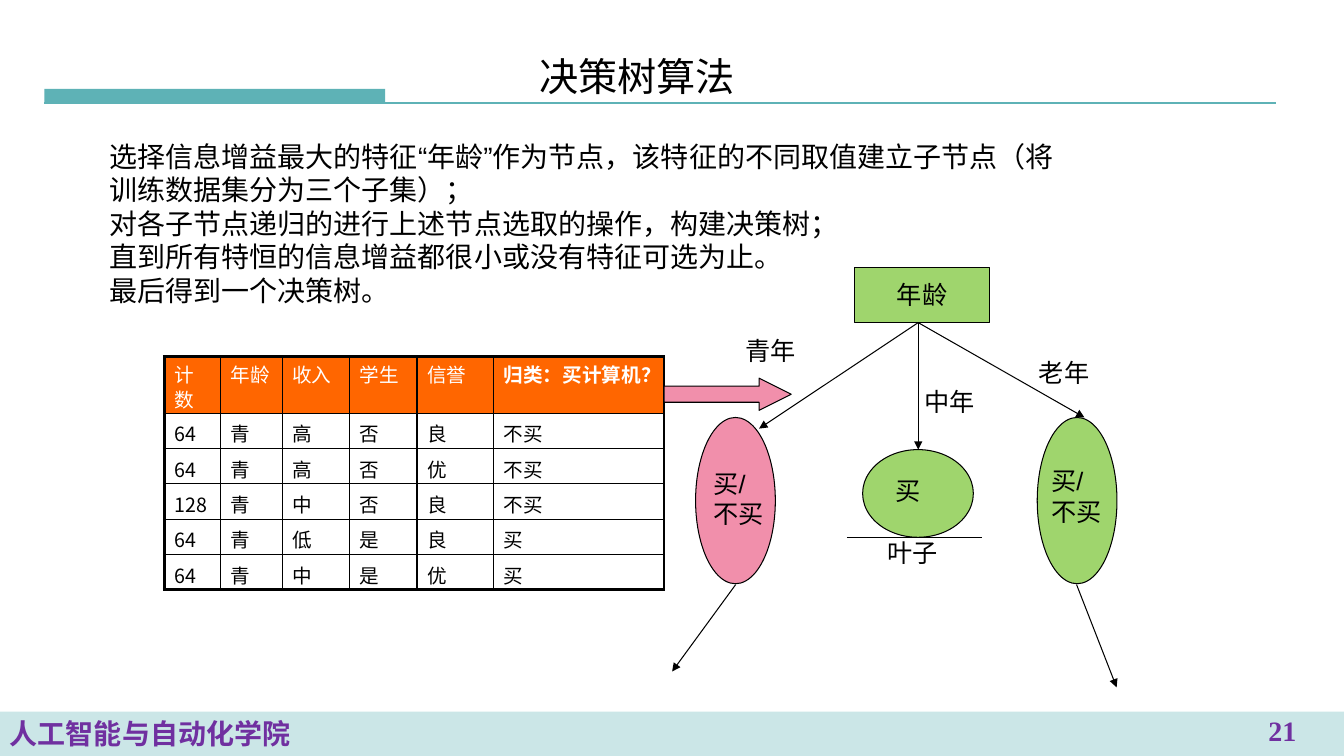
import dataclasses

import lxml.etree
import pptx
import pptx.dml.color
import pptx.enum.shapes
import pptx.enum.text
import pptx.oxml.ns
import pptx.util

Cm = pptx.util.Cm
Pt = pptx.util.Pt
qn = pptx.oxml.ns.qn
Shapes = pptx.enum.shapes.MSO_SHAPE
Align = pptx.enum.text.PP_ALIGN
Anchor = pptx.enum.text.MSO_ANCHOR


@dataclasses.dataclass(frozen=True)
class Theme:
    """Colours, fonts and type sizes of the slide."""
    teal: str = "5EB2B6"
    purple: str = "7030A0"
    orange: str = "FF6600"
    green: str = "9FD56D"
    pink: str = "F18FAB"
    black: str = "000000"
    white: str = "FFFFFF"
    font: str = "Arial"
    table_font: str = "Noto Sans CJK JP"
    number_font: str = "Times New Roman"
    title_size: int = 28
    body_size: int = 20
    label_size: int = 18
    table_size: int = 14
    thin: float = 0.75
    inner: float = 1
    rule: float = 1.5
    outer: float = 2.25


@dataclasses.dataclass(frozen=True)
class Box:
    """A rectangle in centimetres."""
    left: float
    top: float
    width: float
    height: float

    def inside(self, left, top, width, height):
        """Return a box placed relative to this one."""
        return Box(self.left + left, self.top + top, width, height)

    def lengths(self):
        """Return the four lengths that python-pptx expects."""
        return [Cm(value) for value in dataclasses.astuple(self)]


THEME = Theme()


def rgb(colour):
    """Turn a hex string into a colour."""
    return pptx.dml.color.RGBColor.from_string(colour)


def write(frame, lines, size, colour=THEME.black, font=THEME.font, bold=False, align=Align.LEFT):
    """Write one paragraph per line in a single style."""
    for index, line in enumerate(lines):
        para = frame.add_paragraph() if index else frame.paragraphs[0]
        para.text = line
        para.alignment = align
        para.font.size = Pt(size)
        para.font.bold = bold
        para.font.name = font
        para.font.color.rgb = rgb(colour)
        style = para._p.pPr.find(qn("a:defRPr"))
        lxml.etree.SubElement(style, qn("a:ea"), typeface=font)


def add_text(page, box, lines, size, wrap=False, **style):
    """Add a text box."""
    frame = page.shapes.add_textbox(*box.lengths()).text_frame
    frame.word_wrap = wrap
    write(frame, lines, size, **style)


def add_shape(page, kind, box, fill, outlined=True):
    """Add a flat filled shape."""
    shape = page.shapes.add_shape(kind, *box.lengths())
    shape.shadow.inherit = False
    shape.fill.solid()
    shape.fill.fore_color.rgb = rgb(fill)
    if outlined:
        shape.line.color.rgb = rgb(THEME.black)
        shape.line.width = Pt(THEME.thin)
    else:
        shape.line.fill.background()
    return shape


def add_line(page, box, start, end, colour=THEME.black, width=THEME.thin, arrow=False):
    """Add a straight line between two points of a box."""
    points = [Cm(value) for x, y in (start, end) for value in (box.left + x, box.top + y)]
    line = page.shapes.add_connector(pptx.enum.shapes.MSO_CONNECTOR.STRAIGHT, *points)
    line.line.color.rgb = rgb(colour)
    line.line.width = Pt(width)
    properties = line._element.spPr
    if arrow:
        lxml.etree.SubElement(properties.find(qn("a:ln")), qn("a:tailEnd"), type="triangle")
    lxml.etree.SubElement(properties, qn("a:effectLst"))


def add_header(page, box):
    """Draw the title with its bar and rule."""
    add_shape(page, Shapes.RECTANGLE, box.inside(0, 1.05, 8.59, 0.35), THEME.teal, outlined=False)
    add_line(page, box, (0, 1.4), (box.width, 1.4), THEME.teal, THEME.rule)
    add_text(page, box.inside(12.22, 0, 5.46, 1.45), ["决策树算法"], THEME.title_size)


def add_footer(page, box):
    """Draw the footer band with the school and page number."""
    band = add_shape(page, Shapes.RECTANGLE, box, THEME.teal, outlined=False)
    fill = band._element.spPr.find(qn("a:solidFill"))
    lxml.etree.SubElement(fill[0], qn("a:alpha"), val="32000")
    band.text_frame.vertical_anchor = Anchor.MIDDLE
    write(band.text_frame, ["人工智能与自动化学院"], THEME.body_size, THEME.purple, bold=True)
    add_text(page, box.inside(box.width - 3.1, -0.07, 3.1, 1), ["21"], THEME.body_size,
             wrap=True, colour=THEME.purple, font=THEME.number_font, bold=True,
             align=Align.CENTER)


def add_border(cell, position, side, width):
    """Draw one border of a table cell."""
    edge = lxml.etree.Element(qn("a:ln" + side), w=str(Pt(width)))
    fill = lxml.etree.SubElement(edge, qn("a:solidFill"))
    lxml.etree.SubElement(fill, qn("a:srgbClr"), val=THEME.black)
    cell._tc.get_or_add_tcPr().insert(position, edge)


def add_samples(page, box):
    """Draw the table of training samples."""
    rows = [("计数", "年龄", "收入", "学生", "信誉", "归类：买计算机？"),
            ("64", "青", "高", "否", "良", "不买"),
            ("64", "青", "高", "否", "优", "不买"),
            ("128", "青", "中", "否", "良", "不买"),
            ("64", "青", "低", "是", "良", "买"),
            ("64", "青", "中", "是", "优", "买")]
    widths = (1.42, 1.55, 1.7, 1.7, 1.93, 4.29)
    last_row, last_column = len(rows) - 1, len(widths) - 1
    table = page.shapes.add_table(len(rows), len(widths), *box.lengths()).table
    for column, width in zip(table.columns, widths):
        column.width = Cm(width)
    for r, values in enumerate(rows):
        table.rows[r].height = Cm(0.89 if r else 1.42)
        for c, value in enumerate(values):
            cell = table.cell(r, c)
            cell.margin_top, cell.margin_bottom = Cm(0.15), 0
            if c == last_column:
                cell.margin_right = 0
            write(cell.text_frame, [value], THEME.table_size,
                  THEME.black if r else THEME.white, THEME.table_font,
                  bold=r == 0 and c == last_column)
            if r:
                cell.fill.background()
            else:
                cell.fill.solid()
                cell.fill.fore_color.rgb = rgb(THEME.orange)
                cell.text_frame.paragraphs[0].line_spacing = Pt(18)
            outer = {"L": c == 0, "R": c == last_column, "T": r == 0, "B": r == last_row}
            for position, (side, is_outer) in enumerate(outer.items()):
                add_border(cell, position, side, THEME.outer if is_outer else THEME.inner)


def add_tree(page, box):
    """Draw the decision tree that grows from the age node."""
    root = add_shape(page, Shapes.RECTANGLE, box.inside(4.8, 0, 3.4, 1.4), THEME.green)
    root.text_frame.word_wrap = False
    root.text_frame.vertical_anchor = Anchor.MIDDLE
    write(root.text_frame, ["年龄"], THEME.label_size, align=Align.CENTER)
    for end in ((2.39, 4.07), (6.4, 4.6), (10.59, 3.79)):
        add_line(page, box, (6.4, 1.4), end, arrow=True)
    nodes = (((0.79, 3.79, 2.01, 4.19), THEME.pink),
             ((5, 4.6, 2.79, 2.21), THEME.green),
             ((9.4, 3.79, 2.01, 4.19), THEME.green))
    for place, fill in nodes:
        add_shape(page, Shapes.OVAL, box.inside(*place), fill)
    labels = ((1.8, 1.6, 1.8, ["青年"]), (6.3, 2.87, 1.8, ["中年"]), (9.19, 2.16, 1.8, ["老年"]),
              (0.99, 4.95, 1.8, ["买/", "不买"]), (5.59, 5.13, 1.14, ["买"]),
              (9.5, 4.88, 1.8, ["买/", "不买"]), (5.38, 6.68, 1.8, ["叶子"]))
    for left, top, width, lines in labels:
        height = 0.25 + 0.77 * len(lines)
        add_text(page, box.inside(left, top, width, height), lines, THEME.label_size)
    add_line(page, box, (1.8, 8), (0.2, 10.19), arrow=True)
    add_line(page, box, (10.39, 8), (11.4, 10.59), arrow=True)
    add_line(page, box, (4.6, 6.81), (8, 6.81))
    arrow = add_shape(page, Shapes.RIGHT_ARROW, box.inside(0, 2.8, 3.2, 0.81), THEME.pink)
    arrow.adjustments[1] = 1


def add_steps(page, box):
    """Write the steps of the algorithm."""
    add_text(page, box, [
        "选择信息增益最大的特征“年龄”作为节点，该特征的不同取值建立子节点（将训练数据集分为三个子集）；",
        "对各子节点递归的进行上述节点选取的操作，构建决策树；",
        "直到所有特恒的信息增益都很小或没有特征可选为止。",
        "最后得到一个决策树。"], THEME.body_size, wrap=True)


def main():
    """Build the slide and save it."""
    deck = pptx.Presentation()
    deck.slide_width, deck.slide_height = Cm(33.87), Cm(19.05)
    page = deck.slides.add_slide(deck.slide_layouts[6])
    add_header(page, Box(1.12, 1.19, 31.04, 1.45))
    add_footer(page, Box(0, 17.93, 33.87, 1.12))
    add_samples(page, Box(4.14, 8.99, 12.59, 5.87))
    add_tree(page, Box(16.74, 6.73, 11.4, 10.59))
    add_steps(page, Box(2.51, 3.38, 24.82, 5.38))
    deck.save("out.pptx")


if __name__ == "__main__":
    main()
